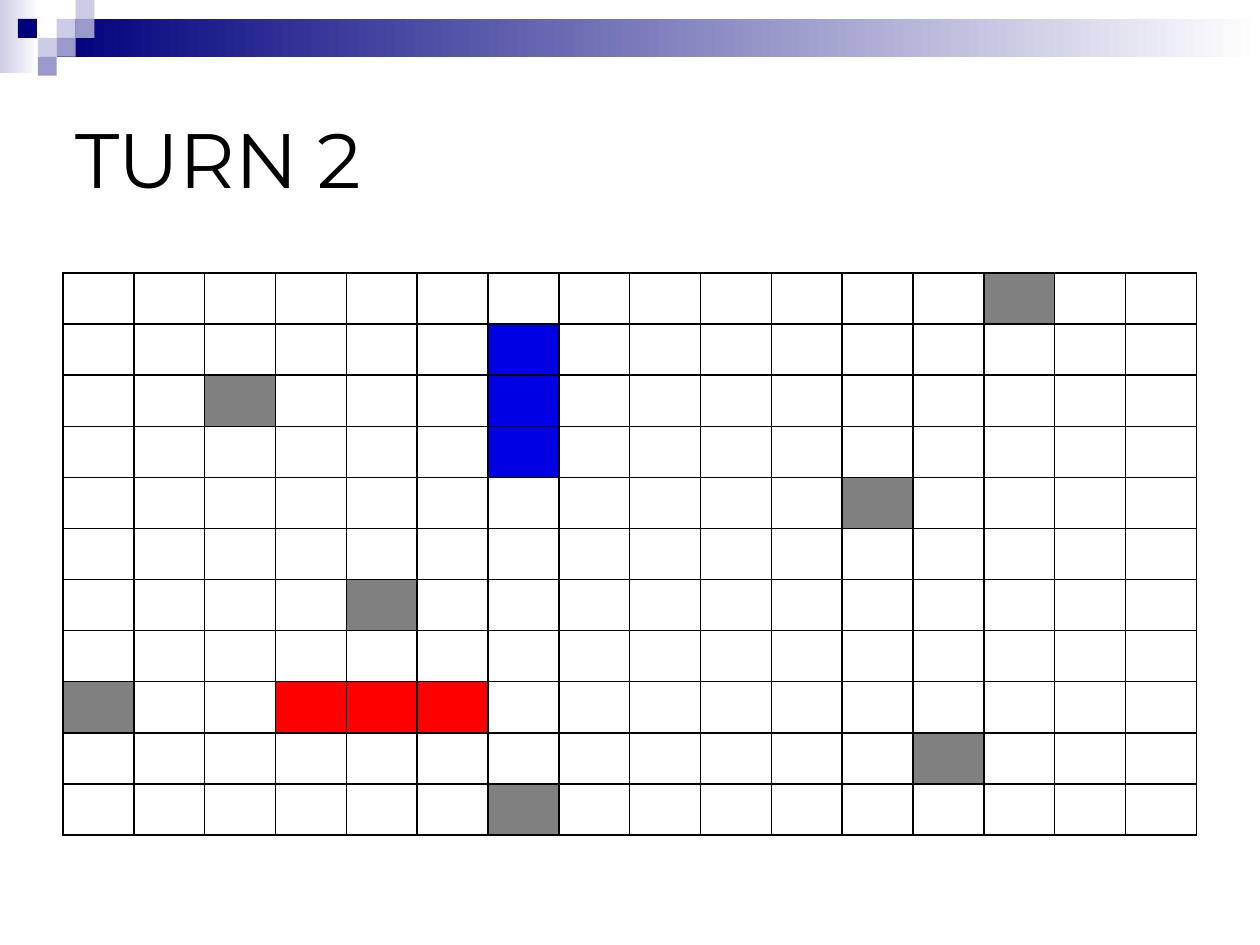
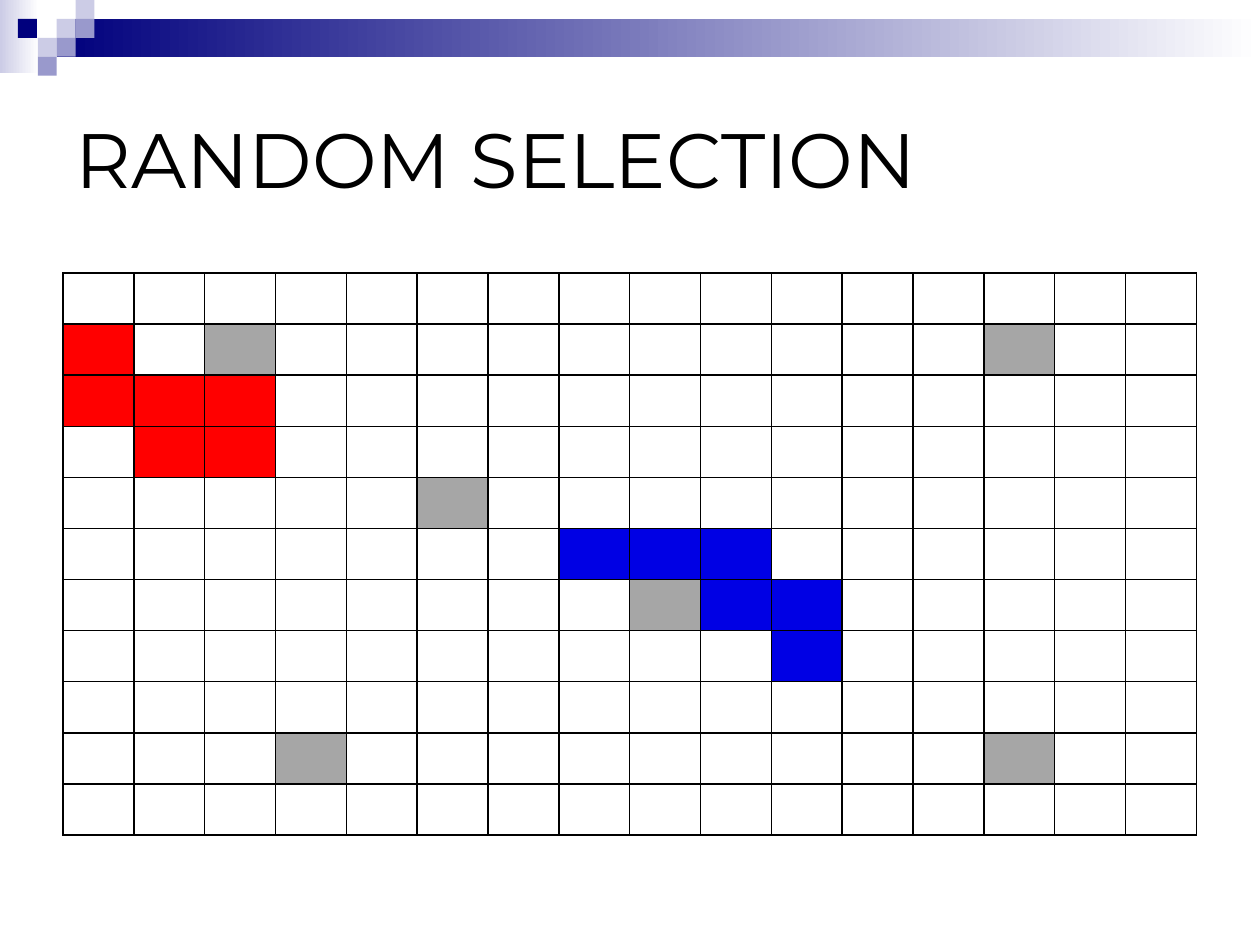
"""Two game-board slides with a shared pixel band and title style."""
from typing import NamedTuple

from lxml import etree
from pptx import Presentation
from pptx.dml.color import RGBColor
from pptx.enum import shapes, text
from pptx.oxml import ns
from pptx.util import Pt

HUES = {
    "navy": "00007D", "mid": "9999CC", "pale": "CCCCE6", "white": "FFFFFF",
    "black": "000000", "red": "FF0000", "blue": "0000E4",
    "dark": "808080", "light": "A6A6A6",
}
MARKS = {".": "white", "R": "red", "B": "blue", "D": "dark", "L": "light"}
FACE = "Montserrat"
UNIT = 10.8  # side of a small square in the band


class Block(NamedTuple):
    """A rectangle of the band, in points; with a fade it is a gradient."""
    left: float
    top: float
    width: float
    height: float
    hue: str
    fade: str = ""


class Board(NamedTuple):
    """A slide: its title and one letter per cell of its grid."""
    title: str
    rows: list[str]


def square(col: float, row: float, hue: str) -> Block:
    """Return a small square at a step of the band's grid."""
    return Block(col * UNIT, row * UNIT, UNIT, UNIT, hue)


BAND = [
    Block(0, 0, 22.3, 41.8, "pale", "white"),
    Block(3 * UNIT, UNIT, 720 - 3 * UNIT, 2 * UNIT, "navy", "white"),
    square(3, 1, "pale"), square(4, 0, "pale"), square(4, 1, "mid"),
    square(2, 2, "pale"), square(0.95, 1, "navy"), square(3, 2, "mid"),
    square(2, 3, "mid"),
]

BOARDS = [
    Board("TURN 2", [
        ".............D..",
        "......B.........",
        "..D...B.........",
        "......B.........",
        "...........D....",
        "................",
        "....D...........",
        "................",
        "D..RRR..........",
        "............D...",
        "......D.........",
    ]),
    Board("RANDOM SELECTION", [
        "................",
        "R.L..........L..",
        "RRR.............",
        ".RR.............",
        ".....L..........",
        ".......BBB......",
        "........LBB.....",
        "..........B.....",
        "................",
        "...L.........L..",
        "................",
    ]),
]


def rgb(hue: str) -> RGBColor:
    """Return a named colour."""
    return RGBColor.from_string(HUES[hue])


def draw_block(slide, block: Block) -> None:
    """Draw one rectangle of the band."""
    box = slide.shapes.add_shape(
        shapes.MSO_SHAPE.RECTANGLE, Pt(block.left), Pt(block.top),
        Pt(block.width), Pt(block.height))
    box.shadow.inherit = False
    box.line.fill.background()
    if block.fade:
        box.fill.gradient()
        box.fill.gradient_angle = 0
        for stop, hue in zip(box.fill.gradient_stops, (block.hue, block.fade)):
            stop.color.rgb = rgb(hue)
    else:
        box.fill.solid()
        box.fill.fore_color.rgb = rgb(block.hue)


def draw_title(slide, words: str) -> None:
    """Write the slide title."""
    frame = slide.shapes.add_textbox(
        Pt(36), Pt(36), Pt(648), Pt(108)).text_frame
    frame.word_wrap = True
    frame.vertical_anchor = text.MSO_ANCHOR.MIDDLE
    para = frame.paragraphs[0]
    para.text = words
    para.font.name = FACE
    para.font.size = Pt(44)
    para.font.color.rgb = rgb("black")


def rule_cell(cell) -> None:
    """Put a thin black border on all sides of a cell."""
    props = cell._tc.get_or_add_tcPr()
    for side in ("lnL", "lnR", "lnT", "lnB"):
        line = etree.SubElement(props, ns.qn(f"a:{side}"), w=str(Pt(1)))
        fill = etree.SubElement(line, ns.qn("a:solidFill"))
        etree.SubElement(fill, ns.qn("a:srgbClr"), val=HUES["black"])


def draw_grid(slide, rows: list[str]) -> None:
    """Draw the board as a table of coloured cells."""
    wide, high = 40.5, 29.2
    count, span = len(rows), len(rows[0])
    table = slide.shapes.add_table(
        count, span, Pt(36), Pt(156), Pt(span * wide), Pt(count * high)).table
    table.first_row = table.horz_banding = False
    for col in table.columns:
        col.width = Pt(wide)
    for line, marks in zip(table.rows, rows):
        line.height = Pt(high)
        for cell, mark in zip(line.cells, marks):
            cell.margin_top = cell.margin_bottom = Pt(0)
            rule_cell(cell)
            cell.fill.solid()
            cell.fill.fore_color.rgb = rgb(MARKS[mark])


def main() -> None:
    """Build and save the deck."""
    deck = Presentation()
    deck.slide_width, deck.slide_height = Pt(720), Pt(540)
    for board in BOARDS:
        slide = deck.slides.add_slide(deck.slide_layouts[6])
        for block in BAND:
            draw_block(slide, block)
        draw_title(slide, board.title)
        draw_grid(slide, board.rows)
    deck.save("out.pptx")


main()
